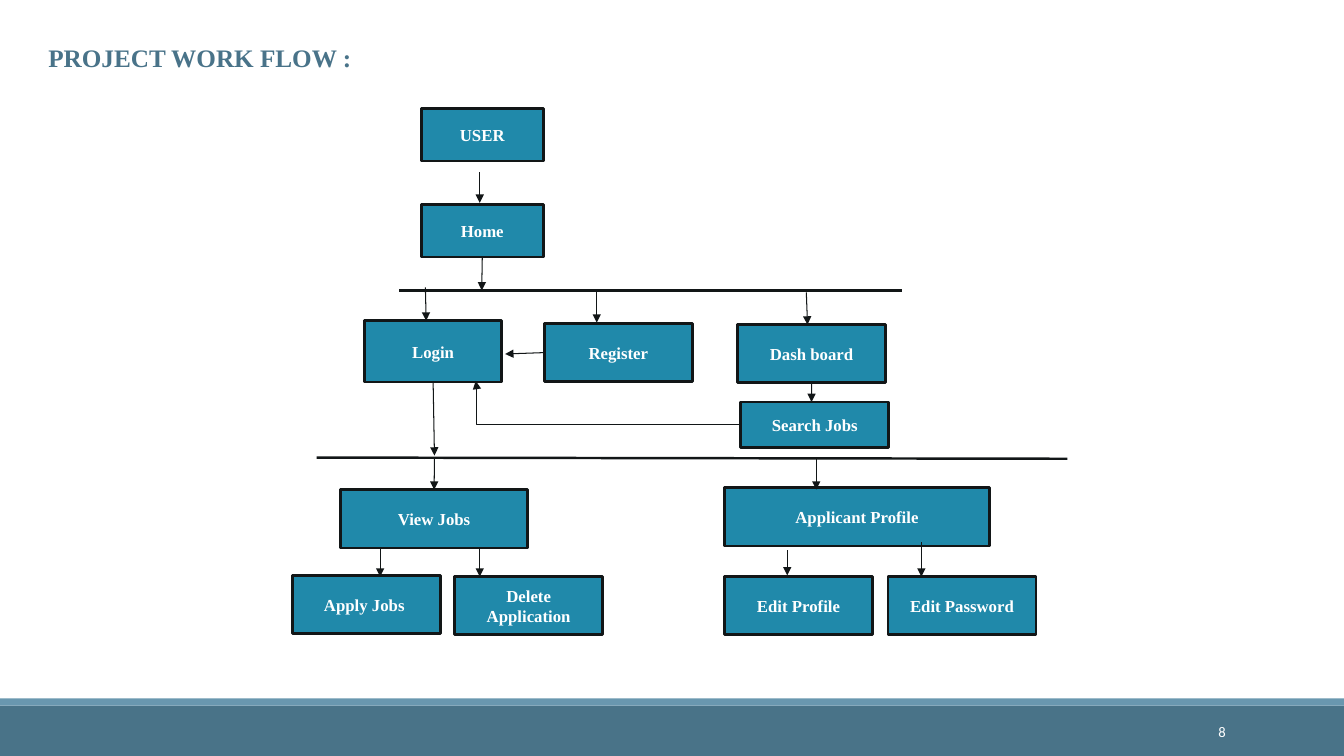
"""Build the project work flow slide."""
from lxml import etree
from pptx import Presentation
from pptx.dml.color import RGBColor
from pptx.enum import shapes, text
from pptx.oxml import ns
from pptx.util import Cm, Pt

TEAL = RGBColor(0x20, 0x89, 0xAA)
INK = RGBColor(0x12, 0x16, 0x17)
SLATE = RGBColor(0x49, 0x73, 0x88)
TITLE = RGBColor(0x49, 0x73, 0x89)
SKY = RGBColor(0x69, 0x97, 0xAF)
WHITE = RGBColor(0xFF, 0xFF, 0xFF)
SERIF = "Times New Roman"

prs = Presentation()
prs.slide_width, prs.slide_height = Cm(33.87), Cm(19.05)
s = prs.slides.add_slide(prs.slide_layouts[6])


def add_rect(x, y, w, h, fill):
    sp = s.shapes.add_shape(shapes.MSO_SHAPE.RECTANGLE, Cm(x), Cm(y), Cm(w), Cm(h))
    sp.shadow.inherit = False
    sp.fill.solid()
    sp.fill.fore_color.rgb = fill
    sp.line.fill.background()
    return sp


def write(sp, words, size, font, color, bold, align):
    tf = sp.text_frame
    tf.word_wrap = True
    tf.text = words
    p = tf.paragraphs[0]
    p.alignment = align
    r = p.runs[0]
    r.font.size, r.font.name, r.font.bold = Pt(size), font, bold
    r.font.color.rgb = color


add_rect(0, 17.78, 33.87, 1.27, SLATE)
add_rect(0, 17.6, 33.87, 0.18, SKY)

steps = [
    ("USER", 10.62, 2.74, 3.07, 1.32),
    ("Home", 10.62, 5.16, 3.07, 1.32),
    ("Login", 9.19, 8.08, 3.45, 1.55),
    ("Register", 13.72, 8.15, 3.73, 1.47),
    ("Dash board", 18.59, 8.18, 3.73, 1.47),
    ("Search Jobs", 18.67, 10.13, 3.73, 1.14),
    ("View Jobs", 8.59, 12.34, 4.7, 1.47),
    ("Applicant Profile", 18.26, 12.29, 6.68, 1.47),
    ("Apply Jobs ", 7.37, 14.5, 3.73, 1.47),
    ("Delete Application", 11.46, 14.53, 3.73, 1.47),
    ("Edit Profile", 18.26, 14.53, 3.73, 1.47),
    ("Edit Password", 22.38, 14.53, 3.73, 1.47),
]
boxes = {}
for name, x, y, w, h in steps:
    sp = boxes[name] = add_rect(x, y, w, h, TEAL)
    sp.line.color.rgb = INK
    sp.line.width = Pt(2)
    sp.text_frame.vertical_anchor = text.MSO_ANCHOR.MIDDLE
    write(sp, name, 12, SERIF, WHITE, True, text.PP_ALIGN.CENTER)

STRAIGHT, ELBOW = shapes.MSO_CONNECTOR.STRAIGHT, shapes.MSO_CONNECTOR.ELBOW
# kind, start, end, width, arrowhead, joined start, joined end
links = [
    (STRAIGHT, 10.06, 7.32, 22.73, 7.32, 2, None, None),
    (STRAIGHT, 7.98, 11.53, 26.9, 11.56, 1.75, None, None),
    (STRAIGHT, 12.09, 4.34, 12.09, 5.11, 0.75, None, None),
    (STRAIGHT, 12.12, 6.48, 12.14, 7.32, 0.75, ("Home", 2), None),
    (STRAIGHT, 10.72, 7.24, 10.74, 8.08, 0.75, None, None),
    (STRAIGHT, 15.04, 7.32, 15.04, 8.13, 0.75, None, None),
    (STRAIGHT, 20.32, 7.37, 20.35, 8.18, 0.75, None, None),
    (STRAIGHT, 13.72, 8.89, 12.73, 8.92, 0.75, ("Register", 1), None),
    (STRAIGHT, 20.45, 9.65, 20.45, 10.13, 0.75, ("Dash board", 2), None),
    (ELBOW, 18.67, 10.69, 11.99, 9.6, 0.75, None, None),
    (STRAIGHT, 10.92, 9.63, 10.95, 11.48, 0.75, ("Login", 2), None),
    (STRAIGHT, 10.95, 11.56, 10.95, 12.34, 0.75, None, ("View Jobs", 0)),
    (STRAIGHT, 20.57, 11.56, 20.57, 12.34, 0.75, None, None),
    (STRAIGHT, 9.58, 13.82, 9.58, 14.53, 0.75, None, None),
    (STRAIGHT, 12.09, 13.82, 12.09, 14.53, 0.75, None, None),
    (STRAIGHT, 19.84, 13.87, 19.84, 14.5, 0.75, None, None),
    (STRAIGHT, 23.22, 13.67, 23.22, 14.53, 0.75, None, None),
]
for kind, x1, y1, x2, y2, width, start, end in links:
    cx = s.shapes.add_connector(kind, Cm(x1), Cm(y1), Cm(x2), Cm(y2))
    cx.line.color.rgb = INK
    cx.line.width = Pt(width)
    if start:
        cx.begin_connect(boxes[start[0]], start[1])
    if end:
        cx.end_connect(boxes[end[0]], end[1])
    spPr = cx._element.spPr
    if width < 1:
        etree.SubElement(cx.line._get_or_add_ln(), ns.qn("a:tailEnd"), type="triangle")
    if kind == ELBOW:
        avLst = spPr.find(ns.qn("a:prstGeom")).get_or_add_avLst()
        etree.SubElement(avLst, ns.qn("a:gd"), name="adj1", fmla="val 99600")
    etree.SubElement(spPr, ns.qn("a:effectLst"))

heading = s.shapes.add_textbox(Cm(0.97), Cm(0.94), Cm(12.78), Cm(1.02))
write(heading, "PROJECT WORK FLOW :", 18, SERIF, TITLE, True, text.PP_ALIGN.LEFT)
number = s.shapes.add_textbox(Cm(27.51), Cm(17.93), Cm(3.63), Cm(1.02))
number.text_frame.vertical_anchor = text.MSO_ANCHOR.MIDDLE
write(number, "8", 10.5, "Calibri", WHITE, False, text.PP_ALIGN.RIGHT)

prs.save("out.pptx")
